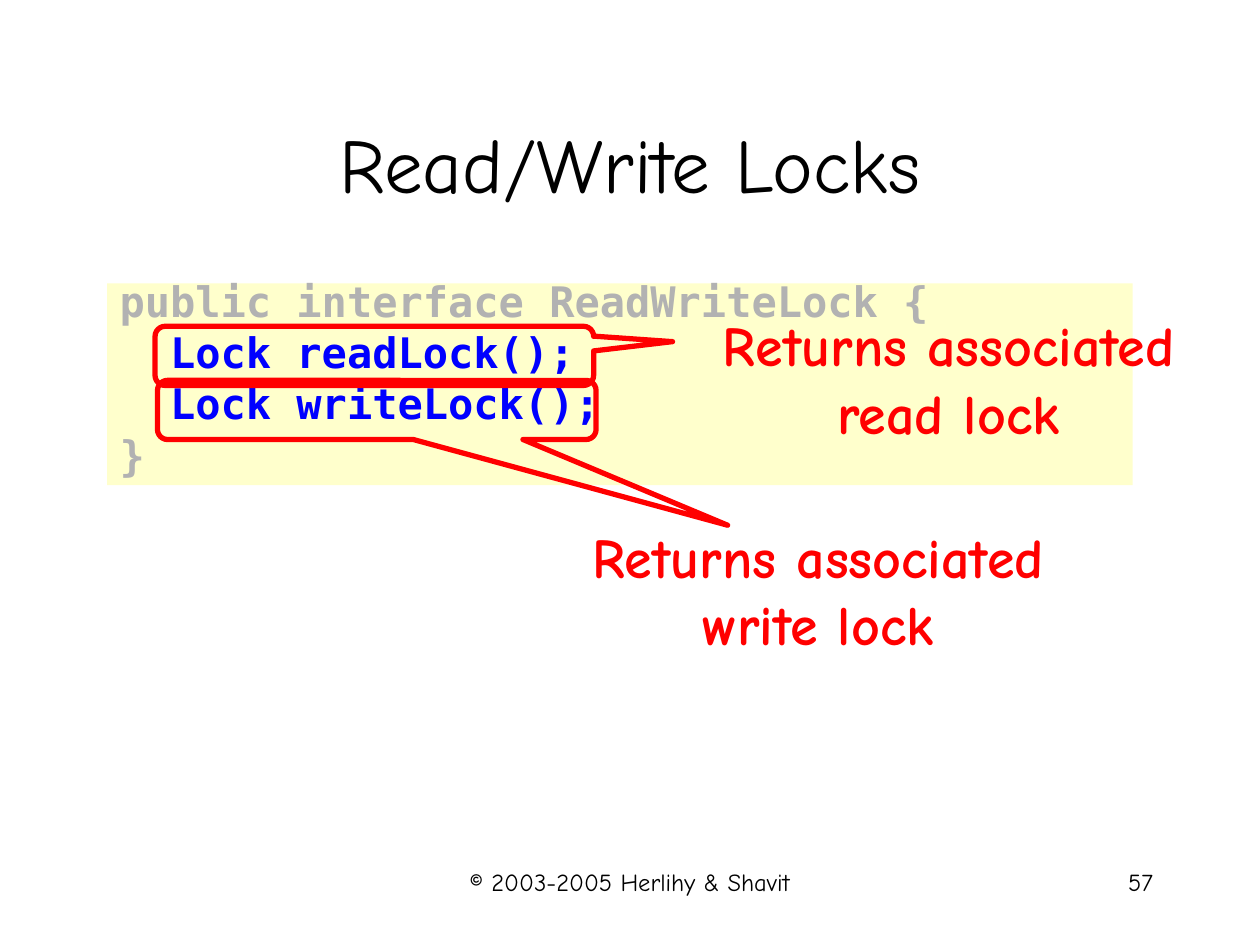
from pptx import Presentation
from pptx.dml.color import RGBColor
from pptx.enum.shapes import MSO_SHAPE
from pptx.enum.text import MSO_ANCHOR, PP_ALIGN
from pptx.util import Pt

COLORS = {"black": "000000", "red": "FF0000", "blue": "0000FF",
          "grey": "B2B2B2", "cream": "FFFFCC"}
COMIC = "Comic Neue"
MONO = "DejaVu Sans Mono"


def rgb(name):
    return RGBColor.from_string(COLORS[name])


def add_run(p, text, size, color, font=COMIC, bold=False):
    r = p.add_run()
    r.text = text
    r.font.name = font
    r.font.size = Pt(size)
    r.font.bold = bold
    r.font.color.rgb = rgb(color)


prs = Presentation()
prs.slide_width, prs.slide_height = Pt(720), Pt(540)
s = prs.slides.add_slide(prs.slide_layouts[5])

title = s.shapes.title
title.left, title.top, title.width, title.height = Pt(54), Pt(48), Pt(612), Pt(90)
tf = title.text_frame
tf.vertical_anchor = MSO_ANCHOR.MIDDLE
p = tf.paragraphs[0]
p.alignment = PP_ALIGN.CENTER
add_run(p, "Read/Write Locks", 44, "black")

code = s.shapes.add_shape(MSO_SHAPE.RECTANGLE, Pt(61.2), Pt(162), Pt(586), Pt(115.2))
code.shadow.inherit = False
code.fill.solid()
code.fill.fore_color.rgb = rgb("cream")
code.line.fill.background()
tf = code.text_frame
tf.word_wrap = True
tf.vertical_anchor = MSO_ANCHOR.TOP
lines = [("public interface ReadWriteLock {", "grey"),
         ("  Lock readLock();", "blue"),
         ("  Lock writeLock();", "blue"),
         ("}", "grey")]
for i, (text, color) in enumerate(lines):
    p = tf.add_paragraph() if i else tf.paragraphs[0]
    p.alignment = PP_ALIGN.LEFT
    p.line_spacing = 0.7
    p.space_before = Pt(9 if i else 0)
    add_run(p, text, 24, color, MONO, True)

callouts = [(88.6, 186.5, 0.68, -0.24), (90, 217.4, 0.8, 1.95)]
for left, top, tip_x, tip_y in callouts:
    sp = s.shapes.add_shape(MSO_SHAPE.ROUNDED_RECTANGULAR_CALLOUT,
                            Pt(left), Pt(top), Pt(250.6), Pt(33.8))
    sp.shadow.inherit = False
    sp.adjustments[0] = tip_x
    sp.adjustments[1] = tip_y
    sp.adjustments[2] = 0.17
    sp.fill.background()
    sp.line.color.rgb = rgb("red")
    sp.line.width = Pt(3)

labels = [
    ("Returns associated read lock", 385.2, 174.2, 314, 84.2, 32, "red", True, PP_ALIGN.CENTER),
    ("Returns associated write lock", 296.6, 295.2, 342, 84.2, 32, "red", True, PP_ALIGN.CENTER),
    ("© 2003-2005 Herlihy & Shavit", 246, 492, 228, 36, 14, "black", False, PP_ALIGN.CENTER),
    ("57", 516, 492, 150, 36, 14, "black", False, PP_ALIGN.RIGHT),
]
for text, left, top, width, height, size, color, bold, align in labels:
    tf = s.shapes.add_textbox(Pt(left), Pt(top), Pt(width), Pt(height)).text_frame
    tf.word_wrap = True
    p = tf.paragraphs[0]
    p.alignment = align
    add_run(p, text, size, color, bold=bold)

prs.save("out.pptx")
